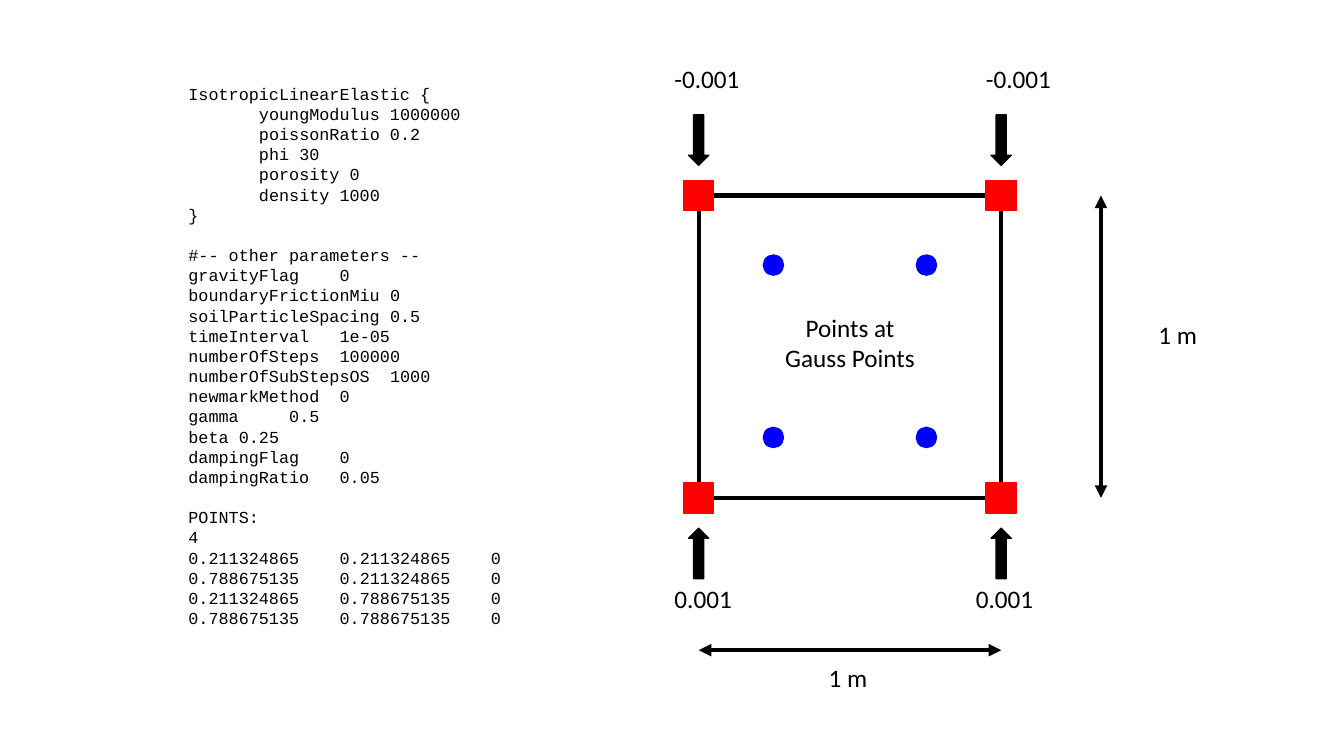
"""Build a slide showing a one-element test and its input parameters."""
from dataclasses import dataclass
from itertools import product

from lxml import etree
from pptx import Presentation
from pptx.dml.color import RGBColor
from pptx.enum.shapes import MSO_CONNECTOR, MSO_SHAPE
from pptx.enum.text import PP_ALIGN
from pptx.oxml.ns import qn
from pptx.util import Inches, Pt

RECT, OVAL, ARROW = MSO_SHAPE.RECTANGLE, MSO_SHAPE.OVAL, MSO_SHAPE.DOWN_ARROW
STRAIGHT = MSO_CONNECTOR.STRAIGHT
LEFT, CENTER = PP_ALIGN.LEFT, PP_ALIGN.CENTER


@dataclass(frozen=True)
class Theme:
    """Colours, fonts and sizes of the slide."""
    ink: str = "000000"
    paper: str = "FFFFFF"
    node: str = "FF0000"
    gauss: str = "0000FF"
    label_font: str = "Calibri"
    code_font: str = "Courier New"
    label_size: float = 18
    code_size: float = 12
    code_line: float = 14.4
    thick: float = 3
    thin: float = 1


@dataclass(frozen=True)
class Mark:
    """A preset shape centred on a point of the element, in inches."""
    kind: int
    x: float
    y: float
    width: float
    height: float
    fill: str
    line: str
    weight: float = 1
    rotation: float = 0


@dataclass(frozen=True)
class Label:
    """A text box with its place in inches."""
    text: str
    left: float
    top: float
    width: float
    height: float = 0.4
    align: int = LEFT


@dataclass(frozen=True)
class Block:
    """Consecutive code lines sharing an indent and tab stops in inches."""
    lines: tuple
    indent: float = 0
    tabs: tuple = ()
    gap: bool = False


T = Theme()
SIDE, X0, Y0 = 3, 6.93, 1.94
X1, Y1 = X0 + SIDE, Y0 + SIDE
XM, YM = X0 + SIDE / 2, Y0 + SIDE / 2
ARROW_GAP = 0.55
GAUSS_X, GAUSS_Y = (0.247, 0.753), (0.23, 0.8)
NEAR, FAR = "0.211324865", "0.788675135"

MARKS = [
    Mark(RECT, XM, YM, SIDE, SIDE, T.paper, T.ink, T.thick),
    *(Mark(RECT, x, y, 0.3, 0.3, T.node, T.node) for x, y in product((X0, X1), (Y0, Y1))),
    *(Mark(ARROW, x, y, 0.2, 0.5, T.ink, T.ink, T.thin, turn)
      for x, (y, turn) in product((X0, X1), ((Y0 - ARROW_GAP, 0), (Y1 + ARROW_GAP, 180)))),
    *(Mark(OVAL, X0 + SIDE * x, Y0 + SIDE * y, 0.2, 0.2, T.gauss, T.gauss)
      for x, y in product(GAUSS_X, GAUSS_Y)),
]
DIMENSIONS = [(X0, 6.45, X1, 6.45), (10.92, Y0, 10.92, Y1)]
LABELS = [
    Label("1 m", 11.39, 3.12, 0.61),
    Label("1 m", 8.12, 6.52, 0.61),
    Label("-0.001", 6.59, 0.58, 0.98),
    Label("-0.001", 9.68, 0.58, 0.98),
    Label("0.001", 6.59, 5.74, 0.98),
    Label("0.001", 9.58, 5.74, 0.98),
    Label("Points at Gauss Points", 7.67, 3.05, 1.52, 0.71, CENTER),
]
PARAMETERS = {
    "gravityFlag": "0", "boundaryFrictionMiu": "0", "soilParticleSpacing": "0.5",
    "timeInterval": "1e-05", "numberOfSteps": "100000", "numberOfSubStepsOS": "1000",
    "newmarkMethod": "0", "gamma": "0.5", "beta": "0.25", "dampingFlag": "0",
    "dampingRatio": "0.05",
}
CODE = [
    Block(("IsotropicLinearElastic {",)),
    Block(("youngModulus 1000000", "poissonRatio 0.2", "phi 30", "porosity 0",
           "density 1000"), indent=0.7),
    Block(("}",)),
    Block(("#-- other parameters --",), gap=True),
    Block(tuple(f"{name}\t{value}" for name, value in PARAMETERS.items()), tabs=(3.1,)),
    Block(("POINTS:", "4"), gap=True),
    Block(tuple(f"{x}\t{y}\t0" for y, x in product((NEAR, FAR), repeat=2)), tabs=(2, 4)),
]


def rgb(value: str) -> RGBColor:
    """Turn a hex string into a colour."""
    return RGBColor.from_string(value)


def set_font(p, name: str, size: float) -> None:
    """Give a paragraph its font."""
    p.font.name, p.font.size = name, Pt(size)
    p.font.color.rgb = rgb(T.ink)


def add_frame(s, left: float, top: float, width: float, height: float):
    """Add a wrapping text box and return its text frame."""
    tf = s.shapes.add_textbox(*map(Inches, (left, top, width, height))).text_frame
    tf.word_wrap = True
    return tf


def draw_mark(s, mark: Mark) -> None:
    """Draw a preset shape around its centre."""
    left, top = mark.x - mark.width / 2, mark.y - mark.height / 2
    sp = s.shapes.add_shape(mark.kind, *map(Inches, (left, top, mark.width, mark.height)))
    sp.shadow.inherit = False
    sp.rotation = mark.rotation
    sp.fill.solid()
    sp.fill.fore_color.rgb = rgb(mark.fill)
    sp.line.color.rgb = rgb(mark.line)
    sp.line.width = Pt(mark.weight)


def draw_dimension(s, ends: tuple) -> None:
    """Draw a line with an arrowhead at both ends."""
    line = s.shapes.add_connector(STRAIGHT, *map(Inches, ends))
    line.line.color.rgb = rgb(T.ink)
    line.line.width = Pt(T.thick)
    ln = line.line._get_or_add_ln()
    for tag in ("a:headEnd", "a:tailEnd"):
        etree.SubElement(ln, qn(tag), type="triangle")
    etree.SubElement(line._element.spPr, qn("a:effectLst"))


def draw_label(s, label: Label) -> None:
    """Draw a label of the diagram."""
    p = add_frame(s, label.left, label.top, label.width, label.height).paragraphs[0]
    p.text, p.alignment = label.text, label.align
    set_font(p, T.label_font, T.label_size)


def format_code(p, block: Block, gap: bool) -> None:
    """Set font, spacing, indent and tab stops of a code line."""
    set_font(p, T.code_font, T.code_size)
    p.line_spacing = Pt(T.code_line)
    p.space_before = Pt(T.code_line if gap else 0)
    pPr = p._p.get_or_add_pPr()
    pPr.set("marL", str(Inches(block.indent)))
    pPr.set("indent", "0")
    if block.tabs:
        tabs = etree.Element(qn("a:tabLst"))
        for stop in block.tabs:
            etree.SubElement(tabs, qn("a:tab"), pos=str(Inches(stop)), algn="l")
        pPr.find(qn("a:defRPr")).addprevious(tabs)


def draw_code(s, blocks: list) -> None:
    """Draw the listing of input parameters."""
    tf = add_frame(s, 1.77, 0.78, 4.91, 5.76)
    rows = [(block, i, text) for block in blocks for i, text in enumerate(block.lines)]
    for n, (block, i, text) in enumerate(rows):
        p = tf.add_paragraph() if n else tf.paragraphs[0]
        p.text = text
        format_code(p, block, block.gap and i == 0)


def main() -> None:
    """Build and save the slide."""
    prs = Presentation()
    prs.slide_width, prs.slide_height = Inches(13.33), Inches(7.5)
    s = prs.slides.add_slide(prs.slide_layouts[6])
    for mark in MARKS:
        draw_mark(s, mark)
    for ends in DIMENSIONS:
        draw_dimension(s, ends)
    for label in LABELS:
        draw_label(s, label)
    draw_code(s, CODE)
    prs.save("out.pptx")


main()
